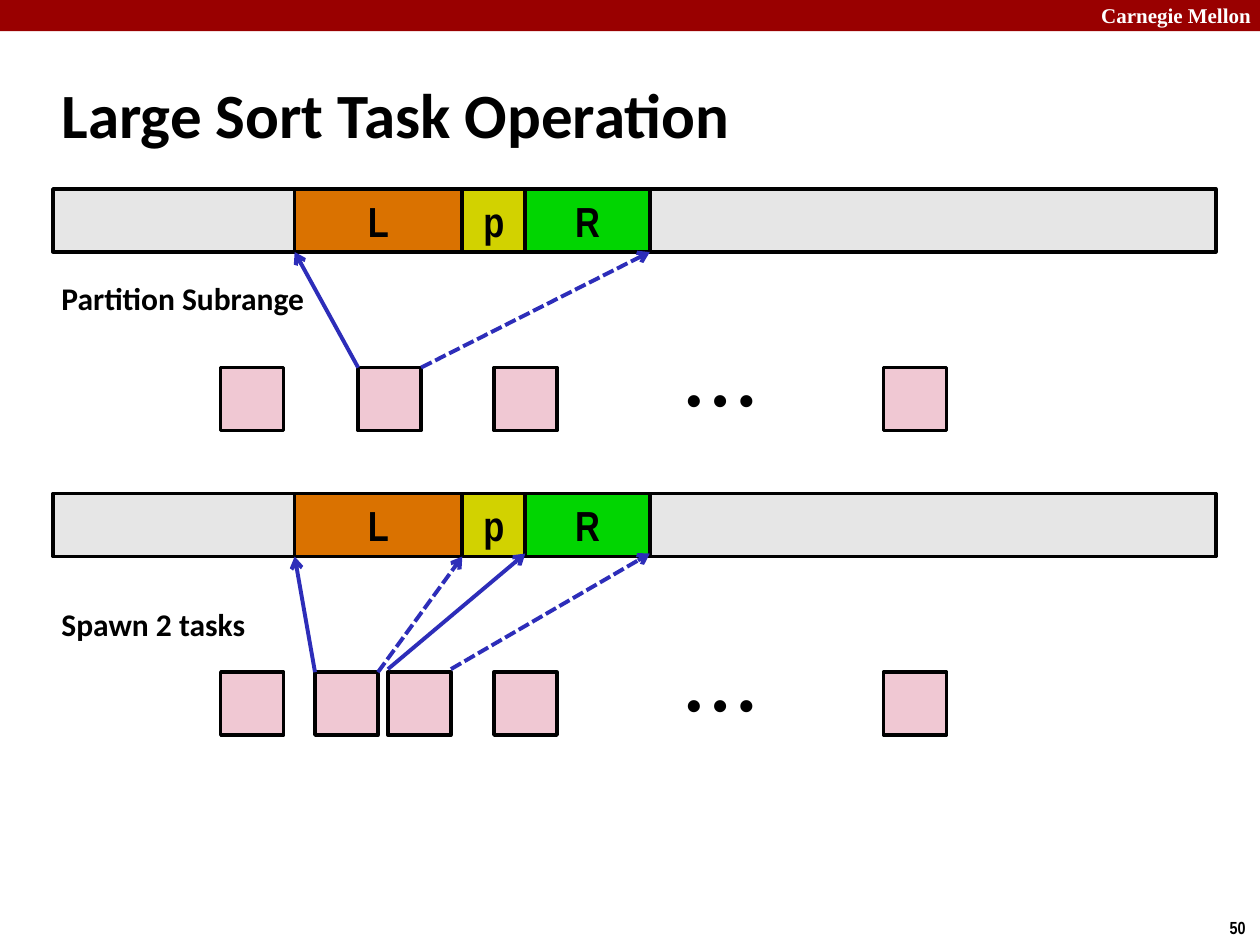
from lxml import etree
from pptx import Presentation
from pptx import util as u
from pptx.dml.color import RGBColor
from pptx.enum import dml, shapes, text
from pptx.oxml.ns import qn

THEME = {
    "colors": {
        "banner": "990000", "array": "E6E6E6", "task": "F0C8D3", "arrow": "2D2DB9",
        "L": "DA7200", "p": "D2D200", "R": "01D501", "ink": "000000", "paper": "FFFFFF",
    },
    "styles": {
        "university": {"name": "Times New Roman", "size": u.Pt(12), "bold": True},
        "number": {"name": "Arial Narrow", "size": u.Pt(10), "bold": True},
        "title": {"name": "Calibri", "size": u.Pt(36), "bold": True},
        "step": {"name": "Calibri", "size": u.Pt(18), "bold": True},
        "segment": {"name": "Arial Narrow", "size": u.Pt(24), "bold": True},
        "ellipsis": {"name": "Arial", "size": u.Pt(24), "bold": True},
    },
    "outline": u.Pt(2),
    "pointer": u.Pt(2.25),
}
COLORS = {part: RGBColor.from_string(code) for part, code in THEME["colors"].items()}

deck = Presentation()
deck.slide_width, deck.slide_height = u.Cm(25.4), u.Cm(19.05)
slide = deck.slides.add_slide(deck.slide_layouts[6])


def write(holder, words, style, color="ink", centred=False, wrap=False):
    frame = holder.text_frame
    frame.word_wrap = wrap
    frame.text = words
    paragraph = frame.paragraphs[0]
    paragraph.alignment = text.PP_ALIGN.CENTER if centred else text.PP_ALIGN.LEFT
    if centred or style == "title":
        frame.vertical_anchor = text.MSO_ANCHOR.MIDDLE
    for attribute, value in THEME["styles"][style].items():
        setattr(paragraph.font, attribute, value)
    paragraph.font.color.rgb = COLORS[color]


def block(left, top, width, height, part):
    rectangle = slide.shapes.add_shape(
        shapes.MSO_SHAPE.RECTANGLE, u.Cm(left), u.Cm(top), u.Cm(width), u.Cm(height))
    rectangle.shadow.inherit = False
    rectangle.fill.solid()
    rectangle.fill.fore_color.rgb = COLORS[part]
    rectangle.line.color.rgb = COLORS["ink"]
    rectangle.line.width = THEME["outline"]
    return rectangle


banner = block(0, 0, 25.4, 0.63, "banner")
banner.line.fill.background()

captions = [
    ("Carnegie Mellon", "university", "paper", 21.95, -0.08, 3.63, 0.76),
    ("50", "number", "ink", 24.54, 18.36, 0.86, 0.69),
    ("Large Sort Task Operation", "title", "ink", 0.99, 1.24, 21.08, 2.11),
    ("Partition Subrange", "step", "ink", 0.99, 5.51, 5.51, 1.02),
    ("Spawn 2 tasks", "step", "ink", 0.99, 12.07, 4.27, 1.02),
]
for words, style, color, *place in captions:
    caption = slide.shapes.add_textbox(*map(u.Cm, place))
    write(caption, words, style, color, wrap=style == "title")

SIDE = 1.27
L_START, P_START, R_START, R_END = 5.94, 9.32, 10.59, 13.1
segments = [("L", L_START, P_START), ("p", P_START, R_START), ("R", R_START, R_END)]
FIRST, THIRD, LAST = 4.45, 9.96, 17.81
TASK_DROP = 3.6

steps = [
    {"top": 3.81, "active": [(7.22, L_START, R_END, 0)]},
    {"top": 9.95, "active": [(6.35, L_START, P_START, 0), (7.82, R_START, R_END, 0.06)]},
]
for step in steps:
    array_top = step["top"]
    task_top = array_top + TASK_DROP
    block(1.07, array_top, 23.44, SIDE, "array")
    for name, start, end in segments:
        segment = block(start, array_top, end - start, SIDE, name)
        write(segment, name, "segment", centred=True)

    active_lefts = [task[0] for task in step["active"]]
    for task_left in [FIRST, *active_lefts, THIRD, LAST]:
        block(task_left, task_top, SIDE, SIDE, "task")

    gap_left = THIRD + SIDE
    ellipsis = slide.shapes.add_textbox(
        u.Cm(gap_left), u.Cm(task_top), u.Cm(LAST - gap_left), u.Cm(SIDE))
    write(ellipsis, "• • •", "ellipsis", centred=True)

    for task_left, range_start, range_end, lift in step["active"]:
        bounds = [(task_left + SIDE, range_end, True), (task_left, range_start, False)]
        for corner, target, dashed in bounds:
            pointer = slide.shapes.add_connector(
                shapes.MSO_CONNECTOR.STRAIGHT, u.Cm(corner), u.Cm(task_top - lift),
                u.Cm(target), u.Cm(array_top + SIDE - lift))
            pointer.line.color.rgb = COLORS["arrow"]
            pointer.line.width = THEME["pointer"]
            if dashed:
                pointer.line.dash_style = dml.MSO_LINE.SQUARE_DOT
            etree.SubElement(pointer.line._get_or_add_ln(), qn("a:tailEnd"), type="arrow")
            etree.SubElement(pointer._element.spPr, qn("a:effectLst"))

deck.save("out.pptx")
